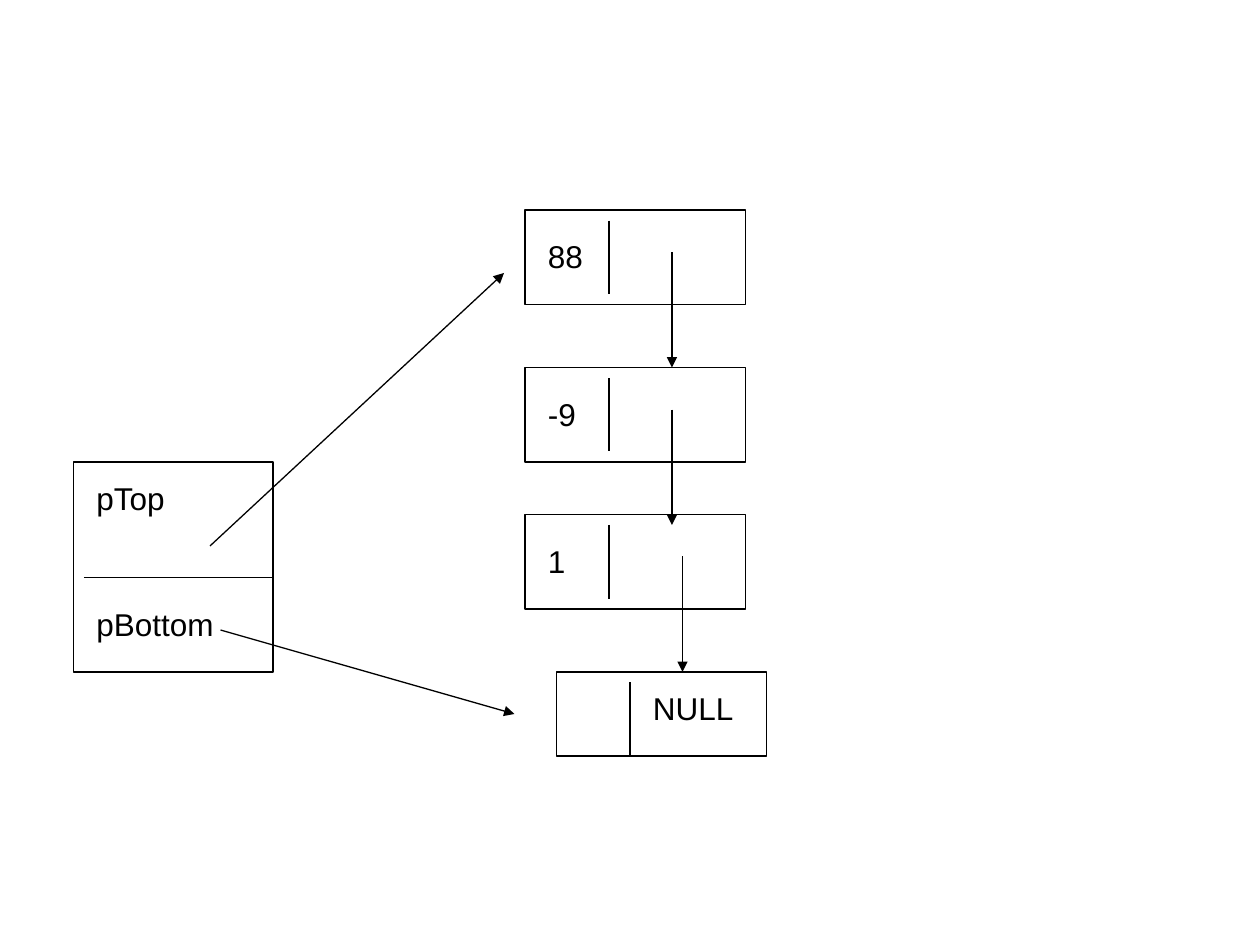
"""Draw a linked stack: top and bottom pointers, three nodes and a NULL end."""
from pptx import Presentation
from pptx.dml.color import RGBColor
from pptx.enum.shapes import MSO_CONNECTOR, MSO_SHAPE
from pptx.enum.text import MSO_AUTO_SIZE
from pptx.oxml.ns import qn
from pptx.util import Inches, Pt
from lxml.etree import SubElement

COLORS = {"ink": RGBColor.from_string("000000"), "paper": RGBColor.from_string("FFFFFF")}
NODES = [("88", 20), ("-9", 35), ("1", 49)]
NODE_X, NODE_W, NODE_H = 50, 21, 9

prs = Presentation()
prs.slide_width, prs.slide_height = Inches(10), Inches(7.5)
COL, ROW = prs.slide_width / 120, prs.slide_height / 90
s = prs.slides.add_slide(prs.slide_layouts[6])


def grid(x, y):
    return int(x * COL), int(y * ROW)


boxes = [(7, 44, 19, 20), (53, 64, 20, 8)]
dividers = [(8, 55, 26, 55), (60, 65, 60, 72)]
arrows = [(20, 52, 48, 26), (21, 60, 49, 68)]
labels = [("pTop", 8, 45, 17), ("pBottom", 8, 57, 17), ("NULL", 61, 65, 11)]
for value, y in NODES:
    boxes.append((NODE_X, y, NODE_W, NODE_H))
    dividers.append((NODE_X + 8, y + 1, NODE_X + 8, y + NODE_H - 1))
    x = NODE_X + (15 if value == "1" else 14)
    arrows.append((x, y + 4, x, y + 15))
    labels.append((value, NODE_X + 1, y + 2, 6))
arrows[-2:] = [(64, 39, 64, 50), (65, 53, 65, 64)]

for x, y, w, h in boxes:
    sp = s.shapes.add_shape(MSO_SHAPE.RECTANGLE, *grid(x, y), *grid(w, h))
    sp.shadow.inherit = False
    sp.fill.solid()
    sp.fill.fore_color.rgb = COLORS["paper"]
    sp.line.color.rgb = COLORS["ink"]
    sp.line.width = Pt(0.75)

for x1, y1, x2, y2 in dividers + arrows:
    cn = s.shapes.add_connector(MSO_CONNECTOR.STRAIGHT, *grid(x1, y1), *grid(x2, y2))
    cn.line.color.rgb = COLORS["ink"]
    cn.line.width = Pt(0.75)
    if (x1, y1, x2, y2) in arrows:
        SubElement(cn.line._get_or_add_ln(), qn("a:tailEnd"), type="triangle")
    SubElement(cn._element.spPr, qn("a:effectLst"))

for text, x, y, w in labels:
    tf = s.shapes.add_textbox(*grid(x, y), *grid(w, 4.8)).text_frame
    tf.word_wrap = True
    tf.auto_size = MSO_AUTO_SIZE.SHAPE_TO_FIT_TEXT
    p = tf.paragraphs[0]
    p.space_before = Pt(11.2)
    r = p.add_run()
    r.text = text
    r.font.name = "Arial"
    r.font.size = Pt(18)
    r.font.color.rgb = COLORS["ink"]

prs.save("out.pptx")
